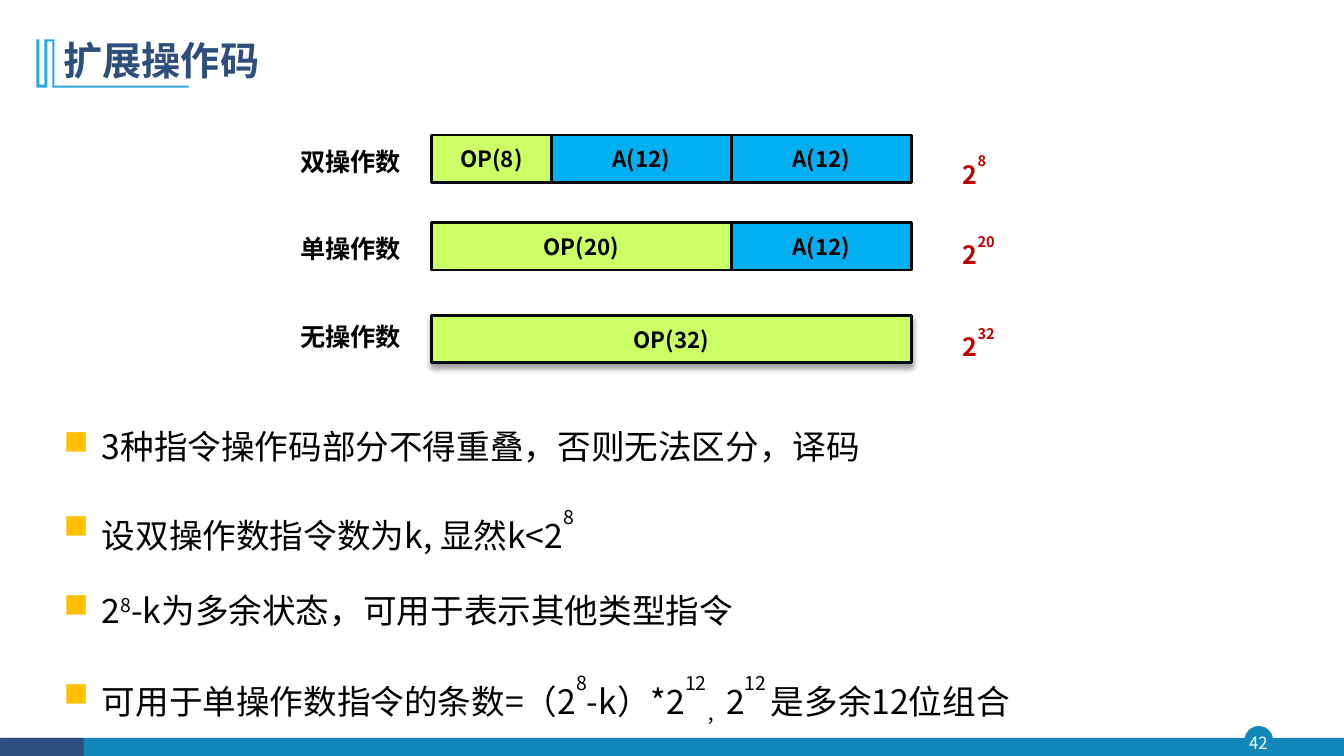
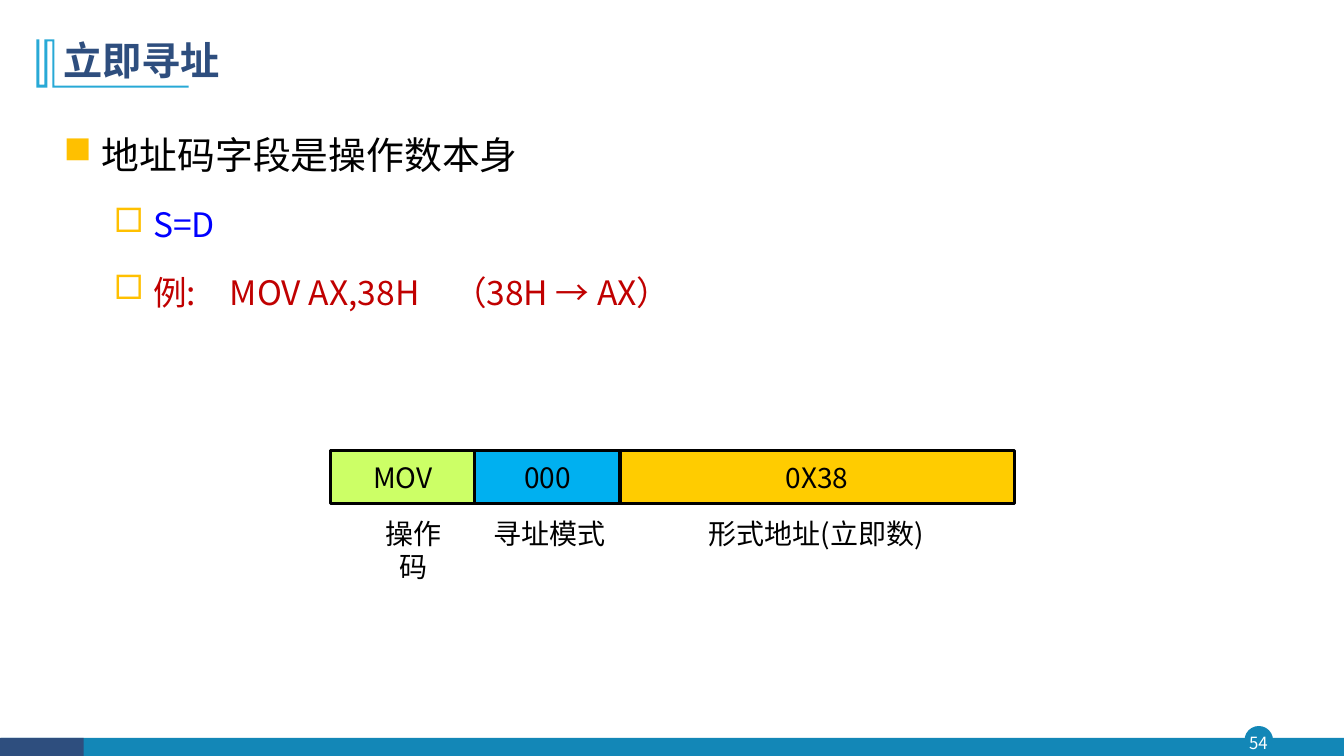
import lxml.etree
import pptx
import pptx.dml.color
import pptx.enum.shapes
import pptx.enum.text
import pptx.oxml.ns
import pptx.util

Inches = pptx.util.Inches
Pt = pptx.util.Pt
ALIGN = pptx.enum.text.PP_ALIGN
ANCHOR = pptx.enum.text.MSO_ANCHOR
FIT = pptx.enum.text.MSO_AUTO_SIZE
SHAPE = pptx.enum.shapes.MSO_SHAPE


def add_element(parent, tag, **attributes):
    return lxml.etree.SubElement(parent, pptx.oxml.ns.qn(tag), attributes)


class Deck:
    FONT = "Noto Sans CJK SC"
    TITLE_SIZE = 28
    COLORS = {
        "band": "1387B7", "navy": "2E4E7E", "mark": "28A9D6",
        "white": "FFFFFF", "black": "000000", "border": "080808",
        "red": "C00000", "blue": "0000FF", "bullet": "FFC000",
        "opcode": "CCFF66", "address": "00B0F0", "immediate": "FFCC00",
    }
    MARK = [(54, 39), (54, 85), (187, 85), (187, 87), (52, 87), (52, 41),
            (47, 41), (47, 87), (36, 87), (36, 39), (39, 39), (39, 84),
            (44, 84), (44, 39)]
    BULLETS = [("n", 0.38, -0.38, 10), ("¨", 0.89, -0.39, 5)]

    def __init__(self):
        self.presentation = pptx.Presentation()
        self.presentation.slide_width = Inches(13.33)
        self.presentation.slide_height = Inches(7.5)
        self.slide = None

    def color(self, name):
        return pptx.dml.color.RGBColor.from_string(self.COLORS[name])

    def add_slide(self, title, number, title_font=FONT):
        layout = self.presentation.slide_layouts[1]
        self.slide = self.presentation.slides.add_slide(layout)
        self.shape((12.35, 7.21, 0.27, 0.27), "band", "band", 1, SHAPE.OVAL)
        self.shape((0.01, 7.32, 13.32, 0.19), "band")
        self.shape((0, 7.32, 0.83, 0.19), "navy")
        page = self.text((12.32, 7.21, 0.32, 0.31), [(number,)], 12, "white",
                         align=ALIGN.CENTER)
        frame = page.text_frame
        frame.auto_size = FIT.NONE
        frame.vertical_anchor = ANCHOR.MIDDLE
        frame.margin_left = frame.margin_right = 0
        frame.margin_top = frame.margin_bottom = 0
        self.title_mark()

        heading = self.slide.shapes.title
        self.place(heading, (0.53, 0.28, 11.5, 0.68))
        heading.text_frame.vertical_anchor = ANCHOR.MIDDLE
        paragraph = heading.text_frame.paragraphs[0]
        paragraph.alignment = ALIGN.LEFT
        paragraph.line_spacing = 0.9
        self.runs(paragraph, [(title,)], self.TITLE_SIZE, "navy", True, title_font)

    def title_mark(self):
        builder = self.slide.shapes.build_freeform(*self.MARK[0], scale=Inches(0.01))
        builder.add_line_segments(self.MARK[1:], close=True)
        self.paint(builder.convert_to_shape(), "mark")

    def place(self, shape, box):
        shape.left, shape.top, shape.width, shape.height = map(Inches, box)

    def paint(self, shape, fill, line=None, width=1):
        shape.shadow.inherit = False
        shape.fill.solid()
        shape.fill.fore_color.rgb = self.color(fill)
        if line:
            shape.line.color.rgb = self.color(line)
            shape.line.width = Pt(width)
        else:
            shape.line.fill.background()

    def runs(self, paragraph, parts, size, color, bold=False, font=FONT):
        for text, *baseline in parts:
            run = paragraph.add_run()
            run.text = text
            run.font.size = Pt(size)
            run.font.bold = bold
            run.font.color.rgb = self.color(color)
            run.font.name = font
            properties = run.font._element
            add_element(properties, "a:ea", typeface=font)
            if baseline:
                properties.set("baseline", str(baseline[0] * 1000))

    def shape(self, box, fill, line=None, width=1, kind=SHAPE.RECTANGLE):
        shape = self.slide.shapes.add_shape(kind, *map(Inches, box))
        self.paint(shape, fill, line, width)
        return shape

    def field(self, box, label, fill, line, width, size, bold=False):
        shape = self.shape(box, fill, line, width)
        shape.text_frame.vertical_anchor = ANCHOR.MIDDLE
        paragraph = shape.text_frame.paragraphs[0]
        paragraph.alignment = ALIGN.CENTER
        self.runs(paragraph, [(label,)], size, "black", bold)
        return shape

    def drop_shadow(self, shape):
        effects = shape._element.spPr.find(pptx.oxml.ns.qn("a:effectLst"))
        shadow = add_element(effects, "a:outerShdw", blurRad=str(Pt(4)),
                             dist=str(Pt(3)), dir="5400000", rotWithShape="0")
        color = add_element(shadow, "a:srgbClr", val=self.COLORS["black"])
        add_element(color, "a:alpha", val="40000")

    def text(self, box, parts, size, color="black", bold=False,
             align=ALIGN.LEFT, wrap=True):
        shape = self.slide.shapes.add_textbox(*map(Inches, box))
        shape.text_frame.word_wrap = wrap
        shape.text_frame.auto_size = FIT.SHAPE_TO_FIT_TEXT
        paragraph = shape.text_frame.paragraphs[0]
        paragraph.alignment = align
        self.runs(paragraph, parts, size, color, bold)
        return shape

    def bullets(self, box, items, align=ALIGN.LEFT):
        body = self.slide.placeholders[1]
        self.place(body, box)
        frame = body.text_frame
        frame.auto_size = FIT.NONE
        for index, (level, size, color, parts) in enumerate(items):
            paragraph = frame.add_paragraph() if index else frame.paragraphs[0]
            character, margin, indent, before = self.BULLETS[level]
            paragraph.level = level
            paragraph.alignment = align
            paragraph.line_spacing = 1.5
            paragraph.space_before = Pt(before if index else 0)
            properties = paragraph._p.get_or_add_pPr()
            properties.set("marL", str(Inches(margin)))
            properties.set("indent", str(Inches(indent)))
            bullet_color = add_element(properties, "a:buClr")
            add_element(bullet_color, "a:srgbClr", val=self.COLORS["bullet"])
            add_element(properties, "a:buFont", typeface="Wingdings", charset="2")
            add_element(properties, "a:buChar", char=character)
            self.runs(paragraph, parts, size, color)


def add_opcode_slide(deck):
    deck.add_slide("扩展操作码", "42")
    items = [
        [("3种指令操作码部分不得重叠，否则无法区分，译码",)],
        [("设双操作数指令数为k, 显然k<2",), ("8", 70)],
        [("2",), ("8", 30), ("-k为多余状态，可用于表示其他类型指令",)],
        [("可用于单操作数指令的条数=（2",), ("8", 70), ("-k）*2",), ("12", 70),
         ("，", -25), ("2",), ("12 ", 70), ("是多余12位组合",)],
    ]
    deck.bullets((0.53, 3.98, 11.5, 3.22),
                 [(0, 24, "black", parts) for parts in items])

    bit_width = 4.76 / 32
    formats = [
        ("双操作数", 1.4, 1.34, 1.46, "8", [("OP", 8), ("A", 12), ("A", 12)]),
        ("单操作数", 2.27, 2.21, 2.26, "20", [("OP", 20), ("A", 12)]),
        ("无操作数", 3.14, 3.13, 3.17, "32", [("OP", 32)]),
    ]
    for name, name_top, bar_top, power_top, exponent, fields in formats:
        deck.text((9.45, power_top, 1.26, 0.4), [("2",), (exponent, 70)], 18, "red", True)
        deck.text((2.88, name_top, 1.26, 0.4), [(name,)], 18, bold=True)
        left = 4.28
        for kind, bits in fields:
            width = bits * bit_width
            fill = "opcode" if kind == "OP" else "address"
            bar = deck.field((left, bar_top, width, 0.47), f"{kind}({bits})",
                             fill, "border", 2, 16, True)
            left += width
    deck.drop_shadow(bar)


def add_immediate_slide(deck):
    deck.add_slide("立即寻址", "54", "Noto Sans CJK JP")
    deck.bullets((0.53, 1.03, 11.5, 2.38), [
        (0, 27, "black", [("地址码字段是操作数本身",)]),
        (1, 24, "blue", [("S=D",)]),
        (1, 24, "red", [("例:　MOV AX,38H　（38H → AX）",)]),
    ], ALIGN.JUSTIFY)

    left = 3.28
    for label, fill, width in [("MOV", "opcode", 1.43), ("000", "address", 1.44),
                               ("0X38", "immediate", 3.91)]:
        field = deck.field((left, 4.47, width, 0.53), label, fill, "black", 2.25, 20)
        field.text_frame.word_wrap = False
        left += width
    for caption, left, width, align, wrap in [
            ("操作码", 3.59, 1.03, ALIGN.CENTER, False),
            ("寻址模式", 4.79, 1.32, ALIGN.CENTER, False),
            ("形式地址(立即数)", 6.93, 2.5, ALIGN.LEFT, True)]:
        deck.text((left, 5.07, width, 0.44), [(caption,)], 20, align=align, wrap=wrap)


def main():
    deck = Deck()
    add_opcode_slide(deck)
    add_immediate_slide(deck)
    deck.presentation.save("out.pptx")


if __name__ == "__main__":
    main()
